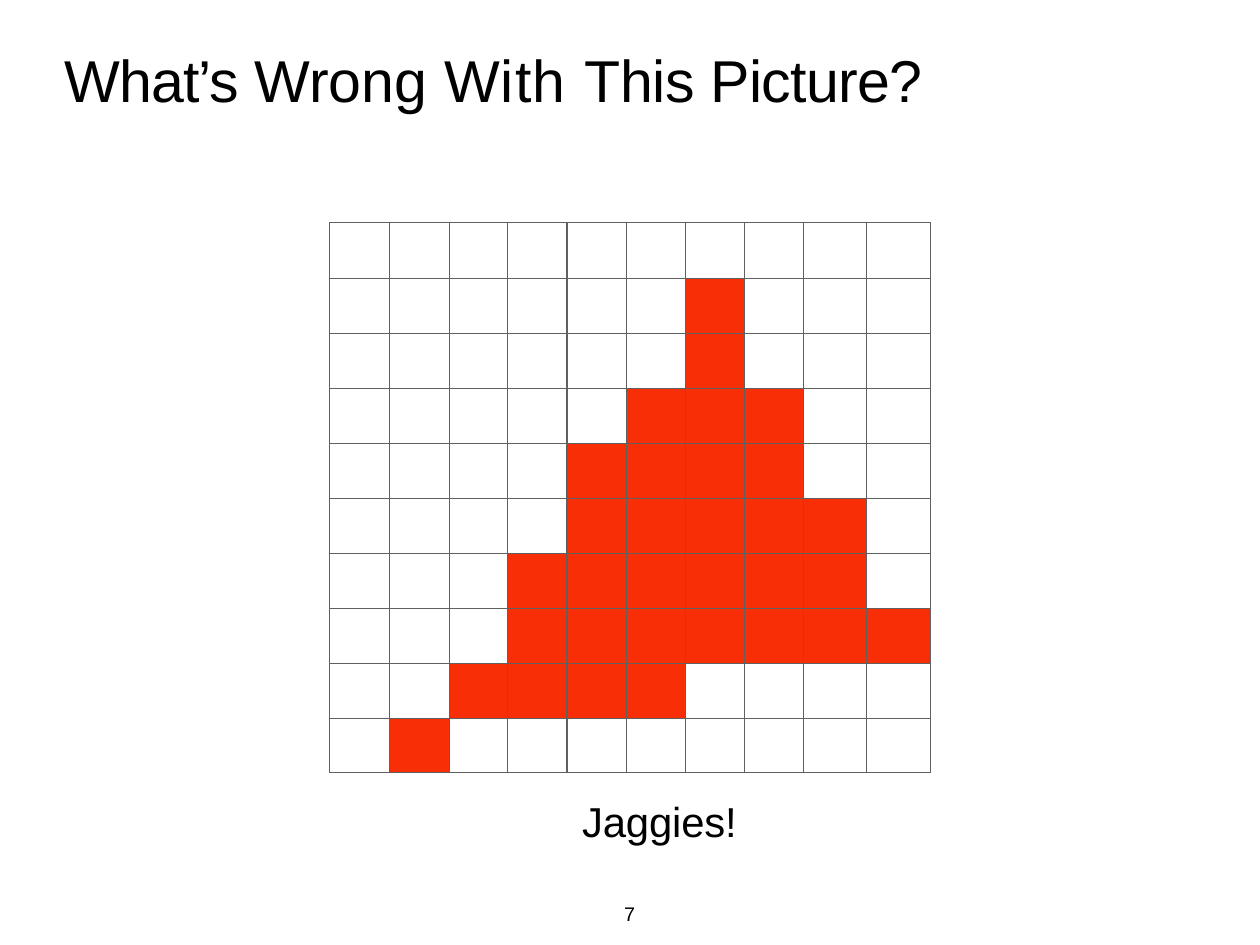
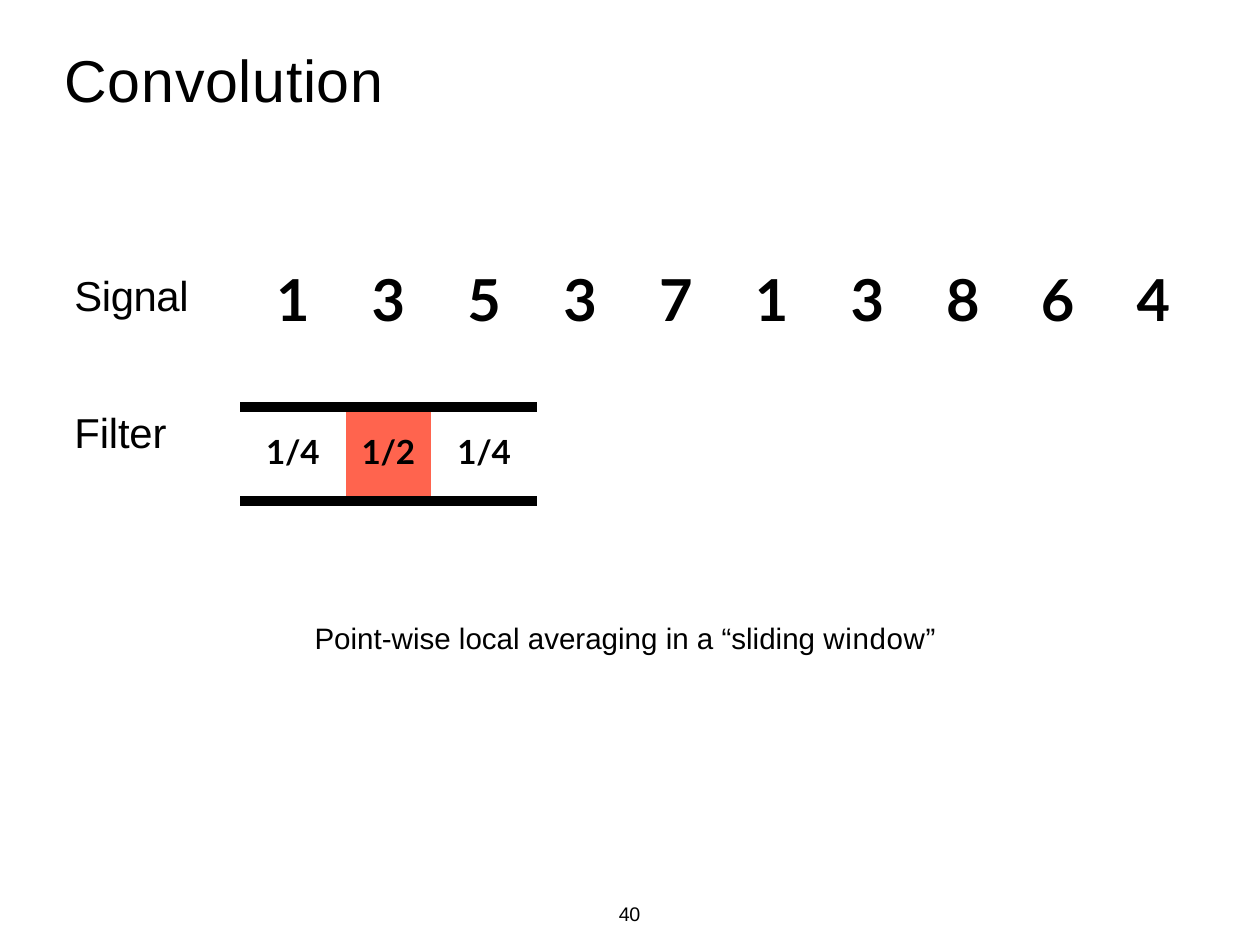
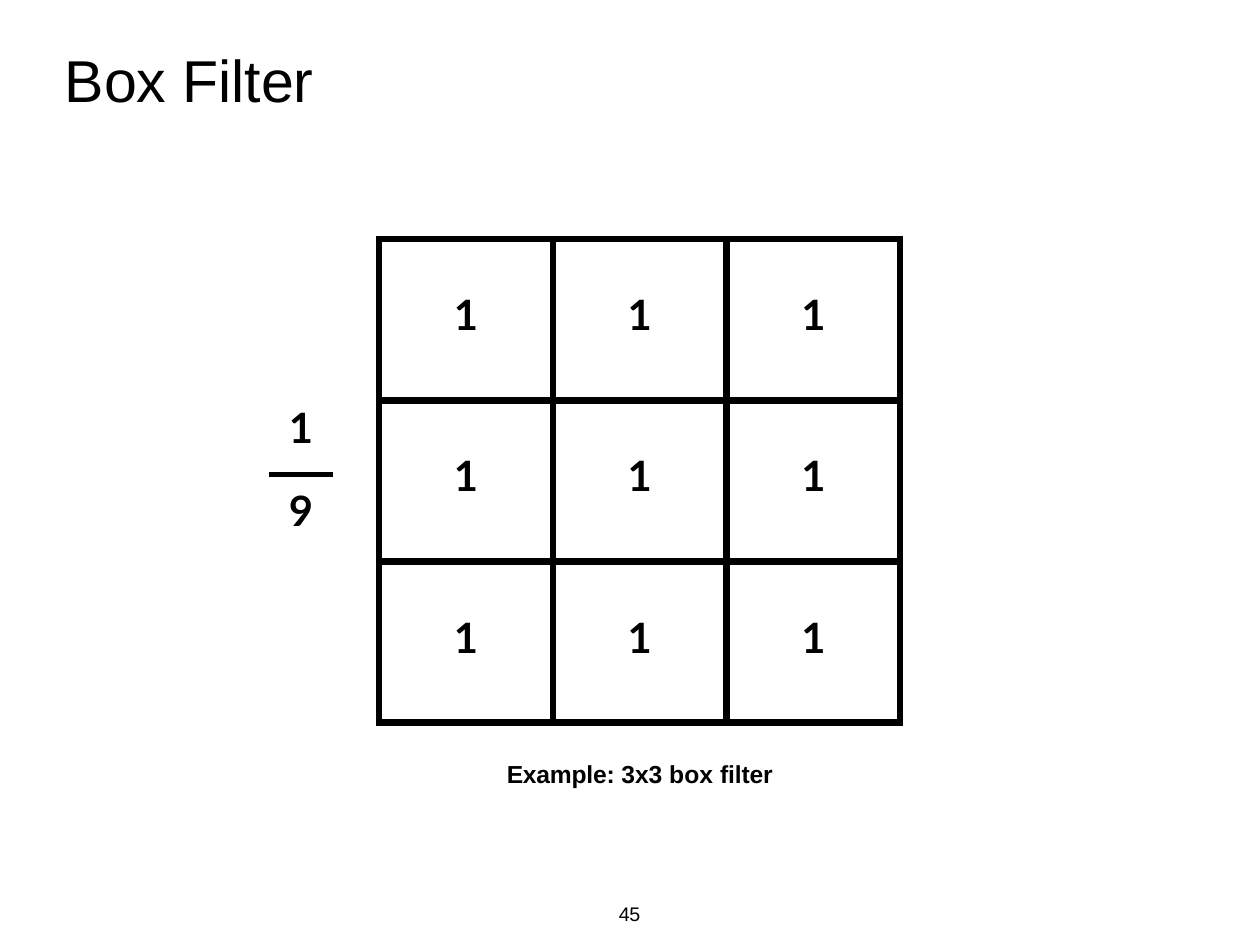
import pptx
import pptx.util
import pptx.dml.color
import pptx.enum.shapes
import pptx.enum.text
import pptx.oxml
import pptx.oxml.ns

Inches, Pt = pptx.util.Inches, pptx.util.Pt
ALIGN = pptx.enum.text.PP_ALIGN
COLORS = {"ink": "000000", "grid": "606060", "pixel": "F82E07", "center": "FF644E"}
PLAIN_TABLE = "{2D5ABB26-0587-4C30-8999-92F81FD0307C}"


def rgb(name):
    return pptx.dml.color.RGBColor.from_string(COLORS[name])


def write(p, text, size=34, font="Arial", bold=False, align=ALIGN.LEFT,
          spc=0, before=0):
    """Fill a paragraph; text is a string or a list of (text, spacing) runs."""
    p.alignment = align
    if before:
        p.space_before = Pt(before)
    for run_text, run_spc in [(text, spc)] if isinstance(text, str) else text:
        r = p.add_run()
        r.text = run_text
        r.font.size, r.font.name, r.font.bold = Pt(size), font, bold
        r.font.color.rgb = rgb("ink")
        if run_spc:
            r._r.get_or_add_rPr().set("spc", str(round(run_spc * 100)))


class Deck:
    def __init__(self, width, height):
        self.prs = pptx.Presentation()
        self.prs.slide_width, self.prs.slide_height = Inches(width), Inches(height)
        self.s = None

    def slide(self, title, number):
        self.s = self.prs.slides.add_slide(self.prs.slide_layouts[6])
        self.text(0.72, 0.48, 12.78, 0.82, title, size=48)
        self.text(6.84, 10.17, 0.52, 0.3, str(number), size=16, spc=-0.2,
                  align=ALIGN.CENTER)

    def text(self, x, y, w, h, text, **fmt):
        tf = self.s.shapes.add_textbox(*map(Inches, (x, y, w, h))).text_frame
        tf.word_wrap = True
        tf.margin_left = tf.margin_top = Inches(0.01)
        tf.margin_right = tf.margin_bottom = 0
        write(tf.paragraphs[0], text, **fmt)
        return tf

    def table(self, x, y, cols, rows, border=None):
        """Add a plain table; border is (color name, width in points)."""
        frame = self.s.shapes.add_table(
            len(rows), len(cols), Inches(x), Inches(y),
            Inches(sum(cols)), Inches(sum(rows)))
        t = frame.table
        t.first_row = t.horz_banding = False
        t._tbl.tblPr.find(pptx.oxml.ns.qn("a:tableStyleId")).text = PLAIN_TABLE
        for col, w in zip(t.columns, cols):
            col.width = Inches(w)
        for row, h in zip(t.rows, rows):
            row.height = Inches(h)
        for cell in t.iter_cells():
            cell.margin_left = cell.margin_right = 0
            cell.margin_top = cell.margin_bottom = 0
            # A small empty line lets thin rows keep their height
            cell.text_frame.paragraphs[0]._p.get_or_add_endParaRPr().set("sz", "100")
            if border:
                self.cell_border(cell, *border)
            cell.fill.background()
        return t

    def cell_border(self, cell, color, width):
        tcPr = cell._tc.get_or_add_tcPr()
        for side in ("lnL", "lnR", "lnT", "lnB"):
            tcPr.append(pptx.oxml.parse_xml(
                f'<a:{side} {pptx.oxml.ns.nsdecls("a")} w="{Pt(width)}"><a:solidFill>'
                f'<a:srgbClr val="{COLORS[color]}"/></a:solidFill></a:{side}>'))

    def fill(self, cell, color):
        cell.fill.solid()
        cell.fill.fore_color.rgb = rgb(color)

    def number(self, cell, text, top, left=None, **fmt):
        """Write a bold number in a cell, centred unless a left inset is given."""
        cell.margin_top = Inches(top)
        cell.margin_left = Inches(left or 0)
        write(cell.text_frame.paragraphs[0], text, font="Lato", bold=True,
              align=ALIGN.LEFT if left else ALIGN.CENTER, **fmt)

    def line(self, x1, y1, x2, y2, width):
        c = self.s.shapes.add_connector(
            pptx.enum.shapes.MSO_CONNECTOR.STRAIGHT, *map(Inches, (x1, y1, x2, y2)))
        c.line.color.rgb = rgb("ink")
        c.line.width = Pt(width)
        c._element.spPr.append(pptx.oxml.parse_xml(
            f'<a:effectLst {pptx.oxml.ns.nsdecls("a")}/>'))


def jaggies(deck):
    deck.slide([("What’s ", -0.8), ("Wrong ", 0), ("With ", 1),
                ("This ", -0.4), ("Picture?", -0.6)], 7)
    # Rasterized triangle
    pixels = ["..........",
              "......#...",
              "......#...",
              ".....###..",
              "....####..",
              "....#####.",
              "...######.",
              "...#######",
              "..####....",
              ".#........"]
    t = deck.table(3.72, 2.51,
                   [0.68, 0.67, 0.66, 0.67, 0.67, 0.67, 0.66, 0.67, 0.71, 0.72],
                   [0.64] + [0.62] * 7 + [0.63, 0.61], border=("grid", 1))
    for cell, pixel in zip(t.iter_cells(), "".join(pixels)):
        if pixel == "#":
            deck.fill(cell, "pixel")
    deck.text(6.56, 8.97, 1.79, 0.59, "Jaggies!", spc=-0.1)


def convolution(deck):
    deck.slide([("Convolution", 0.6)], 40)
    # Row labels
    tf = deck.text(0.83, 3.04, 1.31, 2.07, "Signal", spc=-0.3)
    write(tf.add_paragraph(), "Filter", spc=-0.1, before=70)
    # Signal above the filter window
    t = deck.table(2.71, 2.82,
                   [1.19, 0.97, 1.19, 1.03, 1.08, 1.08, 1.08, 1.07, 1.08, 1.13],
                   [1.16, 0.56, 0.11, 0.95, 0.11])
    lefts = [None] * 3 + [0.3] + [0.35] * 6
    for i, (value, left) in enumerate(zip("1353713864", lefts)):
        deck.number(t.cell(0, i), value, 0.17, left, size=47)
    for i, weight in enumerate(["1/4", "1/2", "1/4"]):
        deck.number(t.cell(3, i), weight, 0.22, size=27, spc=-0.2)
        for bar in (2, 4):
            deck.fill(t.cell(bar, i), "ink")
    deck.fill(t.cell(3, 1), "center")
    deck.text(3.54, 6.99, 7.15, 0.43,
              [("Point-wise local averaging in a “sliding ", 0), ("window”", 0.5)],
              size=24)


def box_filter(deck):
    deck.slide([("Box ", 0), ("Filter", -0.1)], 45)
    # Kernel
    t = deck.table(4.28, 2.7, [1.96] * 3, [1.82] * 3, border=("ink", 6))
    for cell in t.iter_cells():
        deck.number(cell, "1", 0.57)
    deck.text(5.71, 8.56, 3.1, 0.36,
              [("Example: ", -0.2), ("3x3 box ", 0), ("filter", -0.1)],
              size=20, bold=True)
    # Normalizing fraction
    digit = dict(font="Lato", bold=True, spc=0.2)
    tf = deck.text(3.25, 4.53, 0.31, 1.52, "1", **digit)
    write(tf.add_paragraph(), "9", before=26, **digit)
    deck.line(3.04, 5.36, 3.76, 5.36, 4)


def main():
    deck = Deck(14.22, 10.67)
    jaggies(deck)
    convolution(deck)
    box_filter(deck)
    deck.prs.save("out.pptx")


if __name__ == "__main__":
    main()
